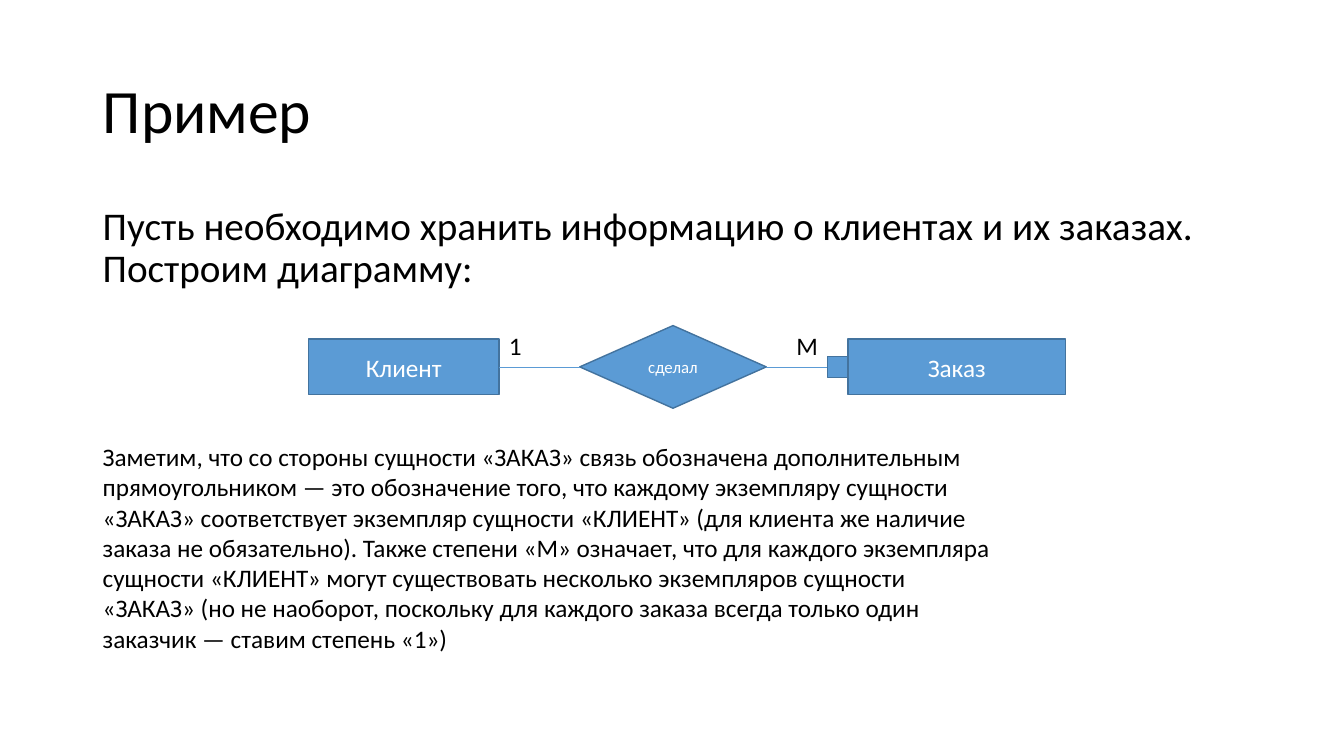
from lxml.etree import SubElement
from pptx import Presentation
from pptx.dml.color import RGBColor
from pptx.enum.shapes import MSO_CONNECTOR, MSO_SHAPE
from pptx.enum.text import MSO_ANCHOR, MSO_AUTO_SIZE, PP_ALIGN
from pptx.oxml.ns import qn
from pptx.util import Inches, Pt

FONT = "Calibri"
BLACK, WHITE, BLUE, OUTLINE = "000000", "FFFFFF", "5B9BD5", "43739E"
AXIS = 3.64
INTRO = "Пусть необходимо хранить информацию о клиентах и их заказах. Построим диаграмму:"
NOTE = (
    "Заметим, что со стороны сущности «ЗАКАЗ» связь обозначена дополнительным "
    "прямоугольником — это обозначение того, что каждому экземпляру сущности «ЗАКАЗ» "
    "соответствует экземпляр сущности «КЛИЕНТ» (для клиента же наличие заказа не "
    "обязательно). Также степени «М» означает, что для каждого экземпляра сущности "
    "«КЛИЕНТ» могут существовать несколько экземпляров сущности «ЗАКАЗ» (но не наоборот, "
    "поскольку для каждого заказа всегда только один заказчик — ставим степень «1»)"
)


def color(value):
    """Turn a hex string into a colour."""
    return RGBColor.from_string(value)


def write(box, text, size=18, ink=BLACK, align=PP_ALIGN.LEFT, anchor=MSO_ANCHOR.TOP,
          spacing=1.0, before=0, wrap=True):
    """Put one formatted paragraph into a shape."""
    frame = box.text_frame
    frame.word_wrap = wrap
    frame.auto_size = MSO_AUTO_SIZE.NONE
    frame.vertical_anchor = anchor
    para = frame.paragraphs[0]
    para.alignment = align
    para.line_spacing = spacing
    para.space_before = Pt(before)
    span = para.add_run()
    span.text = text
    span.font.name = FONT
    span.font.size = Pt(size)
    span.font.color.rgb = color(ink)


def add_title(page, text):
    """Place and fill the title placeholder."""
    title = page.shapes.title
    title.left, title.top = Inches(0.92), Inches(0.4)
    title.width, title.height = Inches(11.5), Inches(1.45)
    write(title, text, size=44, anchor=MSO_ANCHOR.MIDDLE, spacing=0.9)


def add_text(page, text, left, top, width, height, **style):
    """Add a text box."""
    box = page.shapes.add_textbox(Inches(left), Inches(top), Inches(width), Inches(height))
    write(box, text, **style)


def add_node(page, left, width, height, text="", size=18, kind=MSO_SHAPE.RECTANGLE):
    """Add a diagram shape centred on the diagram's axis."""
    node = page.shapes.add_shape(kind, Inches(left), Inches(AXIS - height / 2),
                                 Inches(width), Inches(height))
    node.shadow.inherit = False
    node.fill.solid()
    node.fill.fore_color.rgb = color(BLUE)
    node.line.color.rgb = color(OUTLINE)
    node.line.width = Pt(1)
    if text:
        write(node, text, size=size, ink=WHITE, align=PP_ALIGN.CENTER,
              anchor=MSO_ANCHOR.MIDDLE)
    return node


def add_link(page, start, end, arrow=False):
    """Join the right side of one node to the left side of another."""
    link = page.shapes.add_connector(MSO_CONNECTOR.STRAIGHT, 0, 0, 0, 0)
    link.begin_connect(start, 3)
    link.end_connect(end, 1)
    link.line.color.rgb = color(BLUE)
    link.line.width = Pt(0.5)
    if arrow:
        SubElement(link.line._get_or_add_ln(), qn("a:tailEnd"), type="triangle")
    SubElement(link._element.spPr, qn("a:effectLst"))


def main():
    """Build the slide and save it."""
    deck = Presentation()
    deck.slide_width, deck.slide_height = Inches(13.33), Inches(7.5)
    page = deck.slides.add_slide(deck.slide_layouts[5])

    add_title(page, "Пример")
    add_text(page, INTRO, 0.92, 2, 11.5, 1.06, size=28, spacing=0.9, before=10)

    client = add_node(page, 3.06, 1.89, 0.55, "Клиент")
    order = add_node(page, 8.41, 2.16, 0.55, "Заказ")
    relation = add_node(page, 5.75, 1.85, 0.82, "сделал", size=12,
                        kind=MSO_SHAPE.FLOWCHART_DECISION)
    add_link(page, client, relation)
    add_link(page, relation, order, arrow=True)
    add_node(page, 8.21, 0.2, 0.21)

    add_text(page, NOTE, 0.92, 4.33, 9.08, 2.22)
    add_text(page, "1", 4.95, 3.23, 0.33, 0.4, wrap=False)
    add_text(page, "М", 7.8, 3.23, 0.42, 0.4, wrap=False)
    deck.save("out.pptx")


if __name__ == "__main__":
    main()
